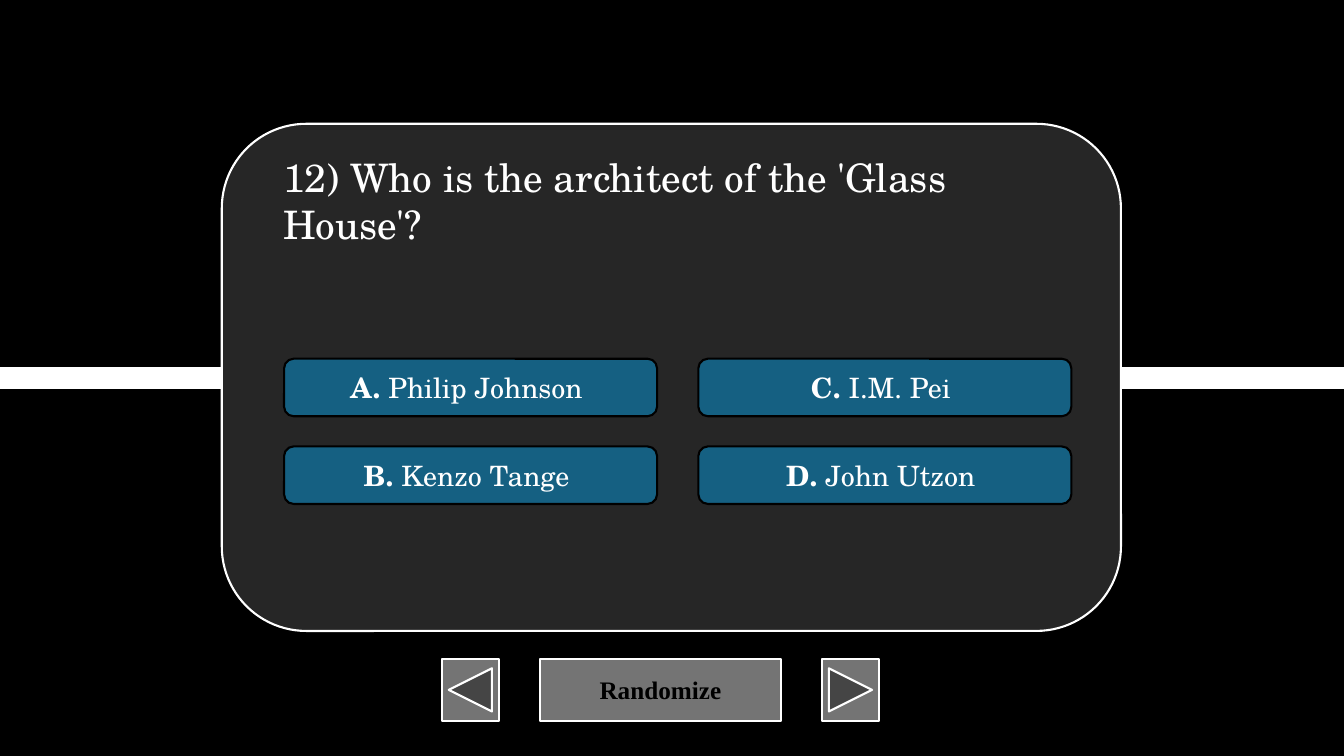
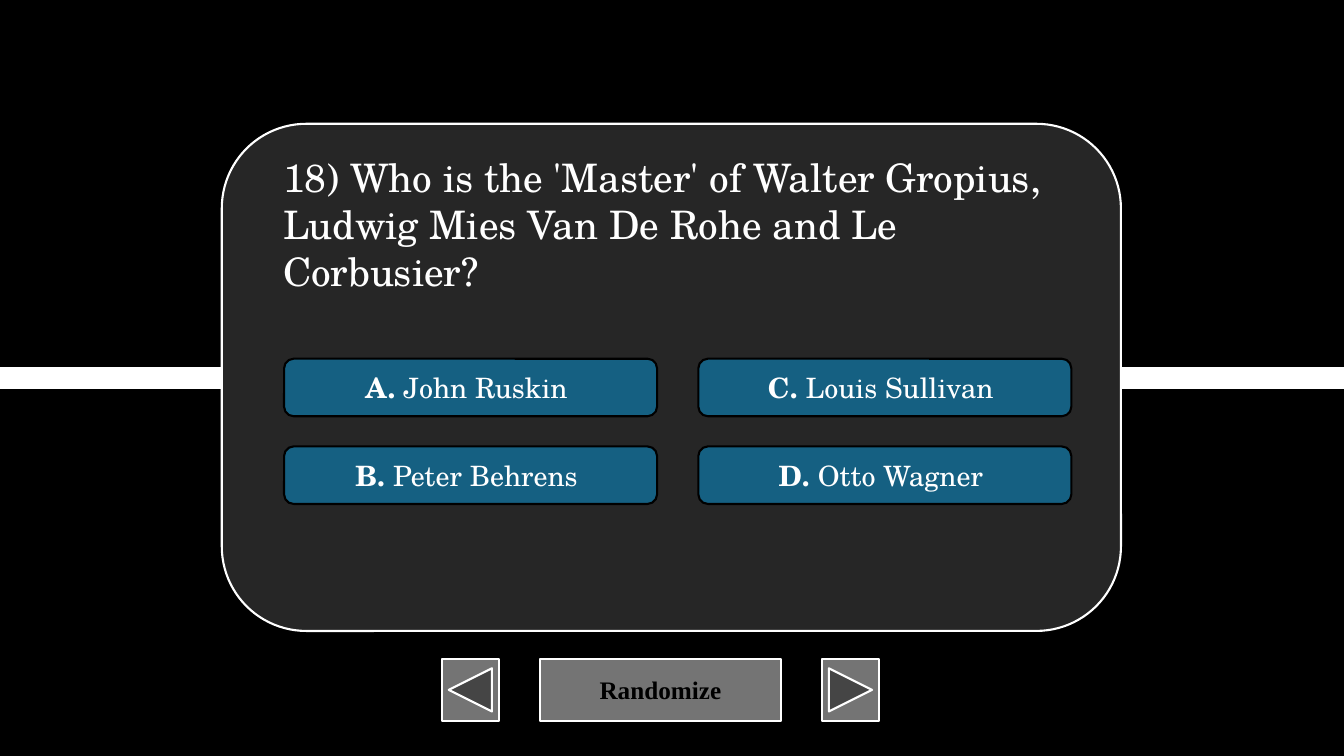
from dataclasses import dataclass

from lxml import etree
from pptx import Presentation
from pptx import util as u
from pptx.dml.color import RGBColor
from pptx.enum import shapes, text
from pptx.oxml.ns import qn


@dataclass(frozen=True)
class Theme:
    black: RGBColor = RGBColor(0x00, 0x00, 0x00)
    white: RGBColor = RGBColor(0xFF, 0xFF, 0xFF)
    card: RGBColor = RGBColor(0x26, 0x26, 0x26)
    answer: RGBColor = RGBColor(0x15, 0x60, 0x82)
    button: RGBColor = RGBColor(0x74, 0x74, 0x74)
    quiz_font: str = "TeX Gyre Schola"
    button_font: str = "Times New Roman"
    question_size: u.Pt = u.Pt(28)
    answer_size: u.Pt = u.Pt(20)
    button_size: u.Pt = u.Pt(18)
    outline: u.Pt = u.Pt(1.5)
    band: u.Pt = u.Pt(16)


theme = Theme()

QUESTIONS = [
    {
        "question": "12) Who is the architect of the 'Glass House'?",
        "height": 1.44,
        "answers": ["Philip Johnson", "Kenzo Tange", "I.M. Pei", "John Utzon"],
    },
    {
        "question": "18) Who is the 'Master' of Walter Gropius, "
        "Ludwig Mies Van De Rohe and Le Corbusier?",
        "height": 3.84,
        "answers": ["John Ruskin", "Peter Behrens", "Louis Sullivan", "Otto Wagner"],
    },
]

BUTTONS = [
    (shapes.MSO_SHAPE.ACTION_BUTTON_BACK_OR_PREVIOUS, 1.45, ""),
    (shapes.MSO_SHAPE.ACTION_BUTTON_CUSTOM, 6.07, "Randomize"),
    (shapes.MSO_SHAPE.ACTION_BUTTON_FORWARD_OR_NEXT, 1.45, ""),
]
BUTTON_LEFT, BUTTON_TOP, BUTTON_HEIGHT, BUTTON_GAP = 11.13, 16.61, 1.55, 1.03
ANSWER_LEFT, ANSWER_TOP, ANSWER_WIDTH, ANSWER_HEIGHT = 7.16, 9.04, 9.4, 1.45
COLUMN_STEP, ROW_STEP = 10.44, 2.21


def add_panel(page, kind, left, top, width, height, fill, line):
    panel = page.shapes.add_shape(
        kind, u.Cm(left), u.Cm(top), u.Cm(width), u.Cm(height)
    )
    panel.shadow.inherit = False
    panel.fill.solid()
    panel.fill.fore_color.rgb = fill
    panel.line.color.rgb = line
    panel.line.width = theme.outline
    panel.text_frame.vertical_anchor = text.MSO_ANCHOR.MIDDLE
    return panel


def add_span(para, words, color, **formats):
    span = para.add_run()
    span.text = words
    span.font.color.rgb = color
    for name, value in formats.items():
        setattr(span.font, name, value)


deck = Presentation()
deck.slide_width, deck.slide_height = u.Cm(33.87), u.Cm(19.05)
backdrop = deck.slide_master.background.fill
backdrop.solid()
backdrop.fore_color.rgb = theme.black
title_only = deck.slide_layouts[5]

for quiz in QUESTIONS:
    page = deck.slides.add_slide(title_only)

    middle = deck.slide_height // 2
    band = page.shapes.add_connector(
        shapes.MSO_CONNECTOR.STRAIGHT, 0, middle, deck.slide_width, middle
    )
    band.line.color.rgb = theme.white
    band.line.width = theme.band
    etree.SubElement(band._element.spPr, qn("a:effectLst"))

    left = BUTTON_LEFT
    for kind, width, label in BUTTONS:
        button = add_panel(
            page, kind, left, BUTTON_TOP, width, BUTTON_HEIGHT,
            theme.button, theme.white,
        )
        if label:
            para = button.text_frame.paragraphs[0]
            para.alignment = text.PP_ALIGN.CENTER
            add_span(para, label, theme.black, name=theme.button_font,
                     size=theme.button_size, bold=True)
        left += width + BUTTON_GAP

    rounded = shapes.MSO_SHAPE.ROUNDED_RECTANGLE
    add_panel(page, rounded, 5.59, 3.12, 22.66, 12.78, theme.card, theme.white)

    for index, (letter, answer) in enumerate(zip("ABCD", quiz["answers"])):
        column, row = divmod(index, 2)
        box = add_panel(
            page, rounded,
            ANSWER_LEFT + column * COLUMN_STEP, ANSWER_TOP + row * ROW_STEP,
            ANSWER_WIDTH, ANSWER_HEIGHT, theme.answer, theme.black,
        )
        box.text_frame.margin_right = u.Cm(0.45)
        para = box.text_frame.paragraphs[0]
        para.alignment = text.PP_ALIGN.CENTER
        for words, bold in ((f"{letter}. ", True), (answer, False)):
            add_span(para, words, theme.white, name=theme.quiz_font,
                     size=theme.answer_size, bold=bold)

    title = page.shapes.title
    title._element.getparent().append(title._element)
    place = {"left": 6.88, "top": 3.73, "width": 20.12, "height": quiz["height"]}
    for name, value in place.items():
        setattr(title, name, u.Cm(value))
    frame_format = {
        "word_wrap": True,
        "auto_size": text.MSO_AUTO_SIZE.SHAPE_TO_FIT_TEXT,
        "vertical_anchor": text.MSO_ANCHOR.TOP,
    }
    for name, value in frame_format.items():
        setattr(title.text_frame, name, value)
    para = title.text_frame.paragraphs[0]
    para.alignment = text.PP_ALIGN.LEFT
    add_span(para, quiz["question"], theme.white, name=theme.quiz_font,
             size=theme.question_size)

deck.save("out.pptx")
